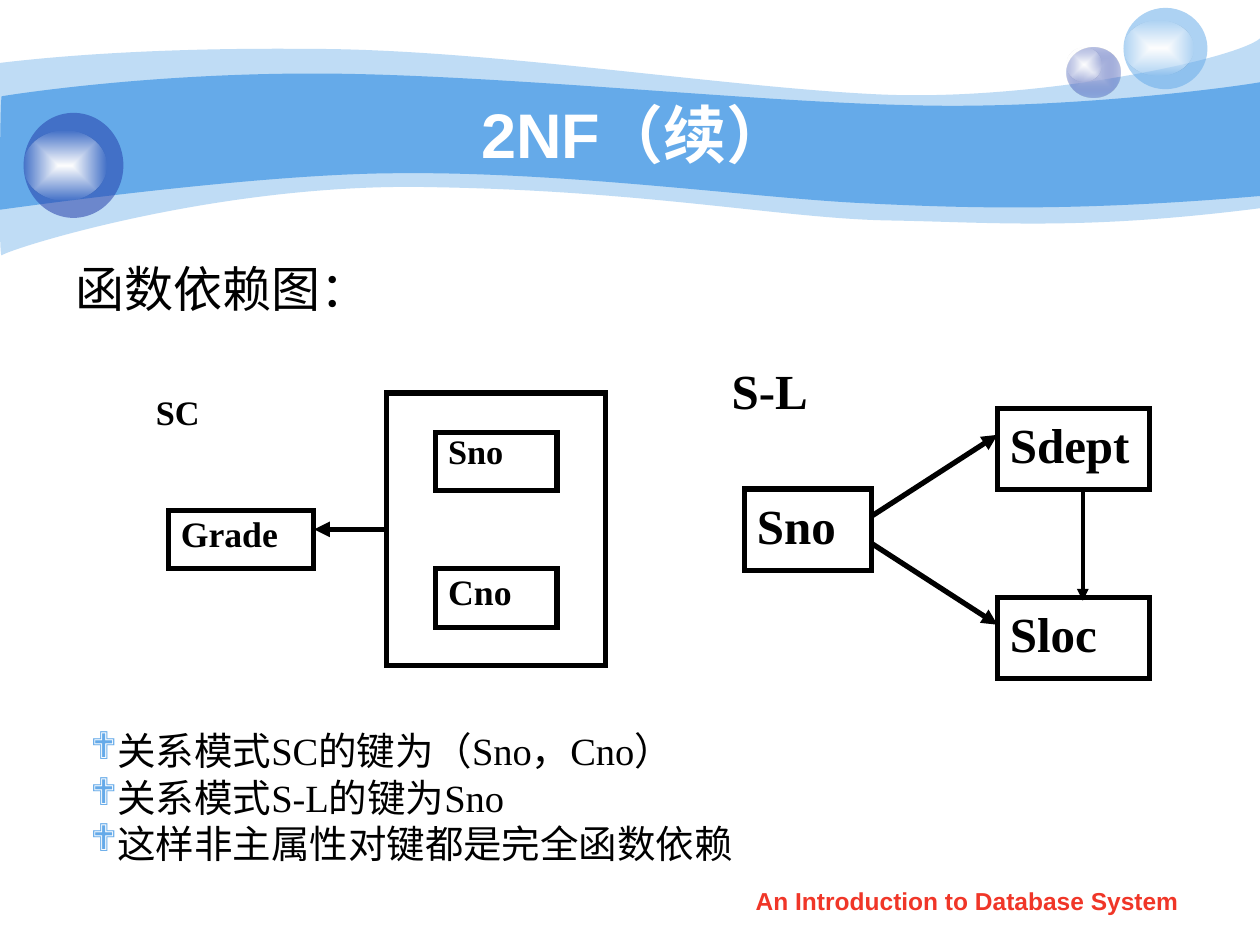
from pptx import Presentation
from pptx.util import Pt
from pptx.dml.color import RGBColor as RGB
from pptx.enum.shapes import MSO_SHAPE as Kind, MSO_CONNECTOR as Conn
from pptx.enum.text import PP_ALIGN as Al, MSO_ANCHOR as Anc, MSO_AUTO_SIZE as Auto
from pptx.oxml import parse_xml
from pptx.oxml.ns import qn
from lxml.etree import SubElement as Sub

HUE = {"sky": "65AAE9", "navy": "233DA9", "haze": "C7CEE9",
       "white": "FFFFFF", "black": "000000", "red": "F03628"}
SANS, SERIF = "Arial", "Times New Roman"
NS = "http://schemas.openxmlformats.org/drawingml/2006/main"

# Waves: opacity, start, then cubic curves (6 numbers) or straight lines (2)
WAVES = [
    (41, (0, 36), [(17, 34, 77, 27, 178, 28), (278, 28, 414, 50, 503, 54),
                   (592, 58, 706, 34, 720, 22), (720, 119),
                   (618, 132, 567, 127, 508, 126), (448, 125, 371, 109, 247, 107),
                   (124, 104, 3, 143, 1, 146), (-1, 150, 0, 54, 0, 36)]),
    (100, (1, 55), [(1, 55, 79, 42, 179, 42), (278, 42, 428, 58, 517, 60),
                    (606, 63, 703, 50, 720, 47), (720, 112),
                    (614, 121, 551, 119, 491, 116), (431, 113, 322, 98, 228, 99),
                    (146, 99, -1, 120, -1, 120), (0, 120, 0, 55, 1, 55)]),
]
# Balls: place, (colour, opacity) stops from the centre out, place of the shine
BALLS = [
    ((609.5, 27, 31, 29), [("haze", 100), ("navy", 31)], (609.5, 27, 20, 19.5)),
    ((642, 4.5, 48, 46.5), [("sky", 53)], (642, 12, 40, 31)),
    ((13.5, 64.5, 57, 60), [("navy", 53)], (13.5, 74.5, 47.5, 40)),
]
SHINE = [("white", 100), ("white", 0)]

# Diagrams: boxes are text, place, size, line spacing, framed
# Arrows are from x, y, to x, y, width
DIAGRAMS = [
    ([("", (221, 224.5, 125, 156), 20, 1, True),
      ("Sno", (249, 247, 69.25, 33.5), 19.6, 0.8, True),
      ("Cno", (249, 325, 69.25, 33.5), 20.4, 0.9, True),
      ("Grade", (96.25, 291.75, 83, 33.25), 20.4, 0.9, True),
      ("SC", (82, 224.5, 70, 33), 19.6, 0.8, False)],
     [(221, 302.5, 179.5, 302.5, 3)]),
    ([("S-L", (411, 202.25, 87, 46.5), 28, 1, False),
      ("Sno", (425.5, 279.5, 72.5, 46.5), 28, 1, True),
      ("Sdept", (570, 233.25, 87, 46.5), 28, 1, True),
      ("Sloc", (570, 341.5, 87, 46.5), 28, 1, True)],
     [(498, 295, 570, 248.5, 3), (498, 310.5, 570, 357, 3),
      (618.75, 281.25, 618.75, 343.25, 2.25)]),
]
TITLE, LEAD = "2NF（续）", "函数依赖图："
NOTES = ["关系模式SC的键为（Sno，Cno）", "关系模式S-L的键为Sno",
         "这样非主属性对键都是完全函数依赖"]
FOOT = "An Introduction to Database System"


def pts(nums):
    return [Pt(n) for n in nums]


def rgb(name):
    return RGB.from_string(HUE[name])


def style(para, size, face, hue="black", bold=False, align=Al.LEFT):
    para.alignment = align
    for run in para.runs:
        font = run.font
        font.size, font.name, font.bold = Pt(size), face, bold
        font.color.rgb = rgb(hue)


def paint(shape, stops):
    """One stop is a flat fill; two make a gradient out from the centre."""
    cols = [f'<a:srgbClr val="{HUE[c]}"><a:alpha val="{a * 1000}"/></a:srgbClr>'
            for c, a in stops]
    if len(cols) == 1:
        xml = f'<a:solidFill xmlns:a="{NS}">{cols[0]}</a:solidFill>'
    else:
        xml = (f'<a:gradFill xmlns:a="{NS}" rotWithShape="1"><a:gsLst>'
               f'<a:gs pos="0">{cols[0]}</a:gs><a:gs pos="100000">{cols[1]}</a:gs>'
               '</a:gsLst><a:path path="rect"><a:fillToRect l="50000" t="50000" '
               'r="50000" b="50000"/></a:path></a:gradFill>')
    shape.shadow.inherit = False
    shape.line.fill.background()
    shape.fill.background()
    old = shape.element.spPr.find(qn("a:noFill"))
    old.getparent().replace(old, parse_xml(xml))


def wave(start, legs):
    """Outline all knots, then swap the straight legs for cubic curves."""
    legs = [list(zip(leg[::2], leg[1::2])) for leg in legs]
    knots = [knot for leg in legs for knot in leg]
    pen = shapes.build_freeform(*start, scale=Pt(1))
    pen.add_line_segments(knots, close=True)
    shape = pen.convert_to_shape()
    left, top = (min(axis) for axis in zip(start, *knots))
    route = shape.element.spPr.find(".//" + qn("a:path"))
    for part in list(route):
        route.remove(part)
    for tag, leg in [("moveTo", [start])] + [
            ("cubicBezTo" if len(leg) == 3 else "lnTo", leg) for leg in legs]:
        part = Sub(route, qn("a:" + tag))
        for x, y in leg:
            Sub(part, qn("a:pt"), x=str(x - left), y=str(y - top))
    Sub(route, qn("a:close"))
    return shape


def box(kin, text, place, size, gap, framed):
    if framed:
        shape = kin.add_shape(Kind.RECTANGLE, *pts(place))
        shape.shadow.inherit = False
        shape.fill.background()
        shape.line.color.rgb, shape.line.width = rgb("black"), Pt(3)
        Sub(shape.element.spPr.find(qn("a:ln")), qn("a:miter"), lim="800000")
    else:
        shape = kin.add_textbox(*pts(place))
    if text:
        frame = shape.text_frame
        frame.word_wrap, frame.vertical_anchor = True, Anc.TOP
        frame.text = text
        para = frame.paragraphs[0]
        para.line_spacing = gap
        style(para, size, SERIF, bold=True, align=Al.JUSTIFY)


def arrow(kin, *ends, width):
    line = kin.add_connector(Conn.STRAIGHT, *pts(ends))
    line.line.color.rgb, line.line.width = rgb("black"), Pt(width)
    prop = line.element.spPr
    Sub(prop.find(qn("a:ln")), qn("a:tailEnd"), type="triangle")
    Sub(prop, qn("a:effectLst"))


deck = Presentation()
deck.slide_width, deck.slide_height = Pt(720), Pt(540)
slide = deck.slides.add_slide(deck.slide_layouts[1])
shapes = slide.shapes
title, body = shapes.title, slide.placeholders[1]

# Backdrop
for alpha, start, legs in WAVES:
    paint(wave(start, legs), [("sky", alpha)])
for place, stops, shine in BALLS:
    kin = shapes.add_group_shape().shapes
    for spot, tint in ((place, stops), (shine, SHINE)):
        paint(kin.add_shape(Kind.OVAL, *pts(spot)), tint)

# Footer line
foot = shapes.add_textbox(*pts((411, 502.5, 283.5, 25)))
foot.text_frame.word_wrap = True
foot.text_frame.text = FOOT
style(foot.text_frame.paragraphs[0], 14, SANS, "red", True, Al.CENTER)

# Title and lead, raised above the backdrop
for holder, place, text in ((title, (72, 54, 582, 44.5), TITLE),
                            (body, (36, 144, 648, 354), LEAD)):
    shapes.element.append(holder.element)
    holder.left, holder.top, holder.width, holder.height = pts(place)
    holder.text_frame.text = text
title.text_frame.vertical_anchor = Anc.MIDDLE
style(title.text_frame.paragraphs[0], 36, SANS, "white", True, Al.CENTER)
lead = body.text_frame.paragraphs[0]
Sub(lead._p.get_or_add_pPr(), qn("a:buNone"))
style(lead, 28, SANS)

# Dependency diagrams
for boxes, arrows in DIAGRAMS:
    kin = shapes.add_group_shape().shapes
    for item in boxes:
        box(kin, *item)
    for *ends, width in arrows:
        arrow(kin, *ends, width=width)

# Bulleted notes
notes = shapes.add_textbox(*pts((44.5, 412, 389.5, 86.5))).text_frame
notes.word_wrap, notes.auto_size = False, Auto.SHAPE_TO_FIT_TEXT
notes.vertical_anchor = Anc.MIDDLE
notes.text = "\n".join(NOTES)
for para in notes.paragraphs:
    prop = para._p.get_or_add_pPr()
    Sub(Sub(prop, qn("a:buClr")), qn("a:srgbClr"), val=HUE["sky"])
    Sub(prop, qn("a:buFont"), typeface="Wingdings")
    Sub(prop, qn("a:buChar"), char="❖")
    style(para, 22, SERIF)

deck.save("out.pptx")
